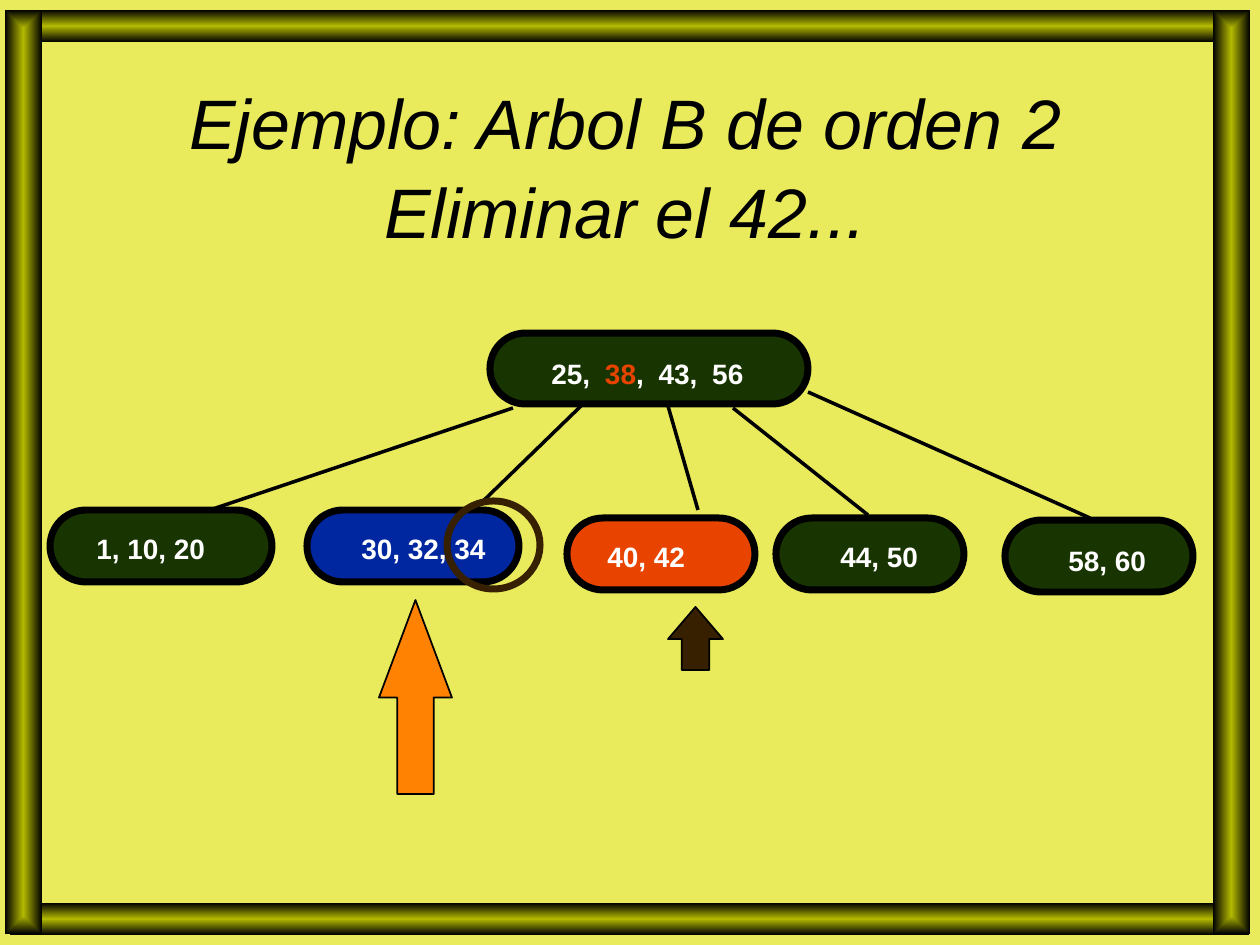
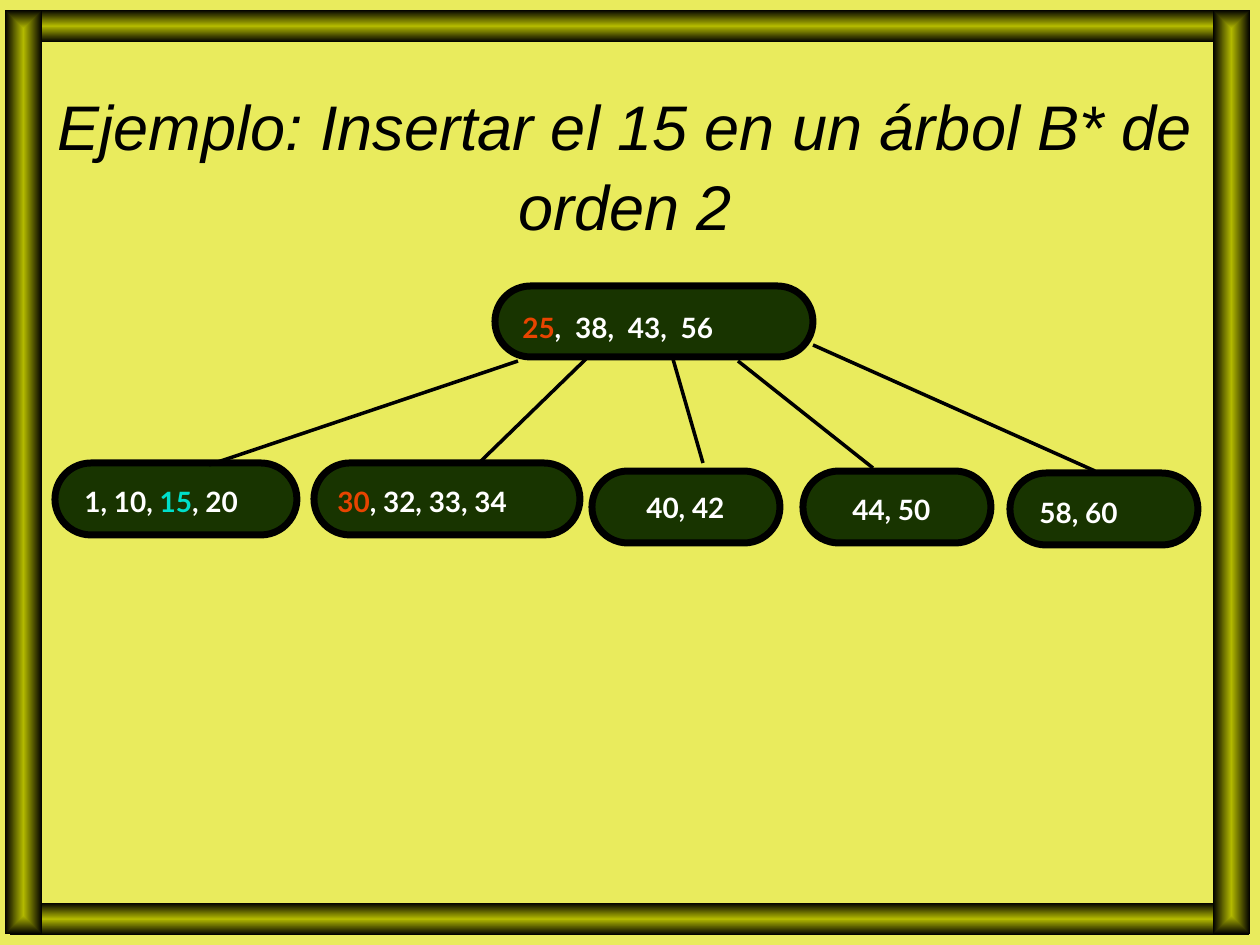
from dataclasses import dataclass

from lxml.etree import SubElement
from pptx import Presentation
from pptx.dml.color import RGBColor
from pptx.enum.shapes import MSO_CONNECTOR, MSO_SHAPE
from pptx.enum.text import MSO_ANCHOR, PP_ALIGN
from pptx.oxml.ns import qn
from pptx.util import Pt

PX = 914400 / 126


@dataclass(frozen=True)
class Theme:
    background: str = "E9EB5D"
    frame_core: str = "B3B900"
    ink: str = "000000"
    node: str = "183400"
    lender: str = "00279F"
    target: str = "E84400"
    inserted: str = "00DFCA"
    brown: str = "372000"
    orange: str = "FF8203"
    white: str = "FFFFFF"
    title_font: str = "Arial"
    key_size: int = 16
    node_line: int = 4
    edge_line: int = 2
    arrow_line: int = 1


THEME = Theme()

PAGE_SIZE = (1260, 945)
FRAME_BARS = [(10, 10, 1239, 32), (10, 903, 1239, 32),
              (5, 10, 37, 924), (1213, 10, 37, 924)]
TITLE_BOX = (42, 84, 1166, 158)
LABEL_HEIGHT = 46

# The tree is measured from the top left corner of its root.
ROOT_SIZE = (318, 71)
LEAF_HEIGHT = 72
LEAF_TOPS = (177, 177, 185, 185, 187)
EDGES = [(23, 75, -286, 179), (91, 73, -14, 175), (178, 73, 208, 177),
         (243, 75, 378, 182), (318, 59, 600, 185)]

# A label is (left, drop below the top of its node, width).
# A leaf is (keys, left, width, label, fill).
SLIDES = [
    {
        "title": "Ejemplo: Arbol B de orden 2\vEliminar el 42...",
        "title_size": 40,
        "key_font": "Arial",
        "origin": (490, 333),
        "root": ("25 38 43 56", (539, 17, 300)),
        "leaves": [
            ("1 10 20", 50, 222, (84, 15, 140), THEME.node),
            ("30 32 34", 307, 212, (349, 15, 204), THEME.lender),
            ("40 42", 567, 188, (595, 15, 108), THEME.target),
            ("44 50", 776, 188, (828, 15, 108), THEME.node),
            ("58 60", 1005, 188, (1056, 17, 142), THEME.node),
        ],
        "key_colors": {"38": THEME.target},
        "arrows": [((668, 607, 55, 63), 0.585, THEME.brown),
                   ((379, 600, 73, 194), 1.337, THEME.orange)],
        "rings": [(447, 501, 93, 88)],
    },
    {
        "title": "Ejemplo: Insertar el 15 en un árbol B* de orden 2",
        "title_size": 36,
        "key_font": "Lato",
        "origin": (495, 286),
        "root": ("25 38 43 56", (510, 18, 300)),
        "leaves": [
            ("1 10 15 20", 55, 242, (72, 15, 196), THEME.node),
            ("30 32 33 34", 314, 266, (325, 15, 210), THEME.node),
            ("40 42", 592, 188, (634, 13, 111), THEME.node),
            ("44 50", 803, 188, (840, 15, 111), THEME.node),
            ("58 60", 1010, 188, (1027, 16, 142), THEME.node),
        ],
        "key_colors": {"25": THEME.target, "30": THEME.target, "15": THEME.inserted},
        "arrows": [],
        "rings": [],
    },
]


def emu(*lengths):
    return [round(length * PX) for length in lengths]


def rgb(color):
    return RGBColor.from_string(color)


def add_figure(page, kind, place, *, fill=None, line=None, width=1, adjustments=()):
    shape = page.shapes.add_shape(kind, *emu(*place))
    shape.shadow.inherit = False
    for index, value in enumerate(adjustments):
        shape.adjustments[index] = value
    if fill:
        shape.fill.solid()
        shape.fill.fore_color.rgb = rgb(fill)
    else:
        shape.fill.background()
    if line:
        shape.line.color.rgb = rgb(line)
        shape.line.width = Pt(width)
    else:
        shape.line.fill.background()
    return shape


def add_text(page, spans, place, *, font, size, bold=False, italic=False,
             align=PP_ALIGN.LEFT, anchor=MSO_ANCHOR.TOP, line_spacing=None):
    """Add one paragraph; each span is (text, color, letter spacing in points)."""
    box = page.shapes.add_textbox(*emu(*place))
    frame = box.text_frame
    frame.word_wrap = True
    frame.vertical_anchor = anchor
    para = frame.paragraphs[0]
    para.alignment = align
    para.line_spacing = line_spacing
    for text, color, spacing in spans:
        for index, part in enumerate(text.split("\v")):
            if index:
                para.add_line_break()
            span = para.add_run()
            span.text = part
            span.font.name = font
            span.font.size = Pt(size)
            span.font.bold = bold
            span.font.italic = italic
            span.font.color.rgb = rgb(color)
            if spacing:
                span._r.get_or_add_rPr().set("spc", str(spacing * 100))
    # Line breaks take the size of the text around them.
    para.font.size = Pt(size)


def add_edge(page, start, end):
    edge = page.shapes.add_connector(MSO_CONNECTOR.STRAIGHT, *emu(*start, *end))
    edge.line.color.rgb = rgb(THEME.ink)
    edge.line.width = Pt(THEME.edge_line)
    SubElement(edge._element.spPr, qn("a:effectLst"))


def add_frame(page):
    """Four bars that shade from a bright core to black edges."""
    for place in FRAME_BARS:
        bar = add_figure(page, MSO_SHAPE.RECTANGLE, place)
        bar.fill.gradient()
        for stop, color in zip(bar.fill.gradient_stops, (THEME.frame_core, THEME.ink)):
            stop.color.rgb = rgb(color)
        gradient = bar._element.spPr.find(qn("a:gradFill"))
        gradient.remove(gradient.find(qn("a:lin")))
        shade = SubElement(gradient, qn("a:path"), path="rect")
        SubElement(shade, qn("a:fillToRect"),
                   {side: "50000" for side in ("l", "t", "r", "b")})


def key_spans(keys, colors, gap):
    spans = []
    for key in keys.split():
        if spans:
            spans.append((", ", THEME.white, gap))
        spans.append((key, colors.get(key, THEME.white), 0))
    return spans


def add_tree(page, content):
    left, top = content["origin"]
    root_keys, root_label = content["root"]
    nodes = [(root_keys, (left, top, *ROOT_SIZE), root_label, THEME.node, 2)]
    for (keys, x, width, label, fill), drop in zip(content["leaves"], LEAF_TOPS):
        nodes.append((keys, (x, top + drop, width, LEAF_HEIGHT), label, fill, 0))

    for _, place, _, fill, _ in nodes:
        add_figure(page, MSO_SHAPE.ROUNDED_RECTANGLE, place, fill=fill,
                   line=THEME.ink, width=THEME.node_line, adjustments=(0.5,))
    for x1, y1, x2, y2 in EDGES:
        add_edge(page, (left + x1, top + y1), (left + x2, top + y2))
    for keys, place, (x, drop, width), _, gap in nodes:
        add_text(page, key_spans(keys, content["key_colors"], gap),
                 (x, place[1] + drop, width, LABEL_HEIGHT),
                 font=content["key_font"], size=THEME.key_size, bold=True)


def add_page(deck, content):
    page = deck.slides.add_slide(deck.slide_layouts[6])
    add_frame(page)
    add_text(page, [(content["title"], THEME.ink, 0)], TITLE_BOX,
             font=THEME.title_font, size=content["title_size"], italic=True,
             align=PP_ALIGN.CENTER, anchor=MSO_ANCHOR.MIDDLE, line_spacing=1.06)
    add_tree(page, content)
    for place, head, fill in content["arrows"]:
        add_figure(page, MSO_SHAPE.UP_ARROW, place, fill=fill, line=THEME.ink,
                   width=THEME.arrow_line, adjustments=(0.5, head))
    for place in content["rings"]:
        add_figure(page, MSO_SHAPE.OVAL, place, line=THEME.brown, width=THEME.node_line)


def main():
    deck = Presentation()
    deck.slide_width, deck.slide_height = emu(*PAGE_SIZE)
    background = deck.slide_master.background.fill
    background.solid()
    background.fore_color.rgb = rgb(THEME.background)
    for content in SLIDES:
        add_page(deck, content)
    deck.save("out.pptx")


if __name__ == "__main__":
    main()
